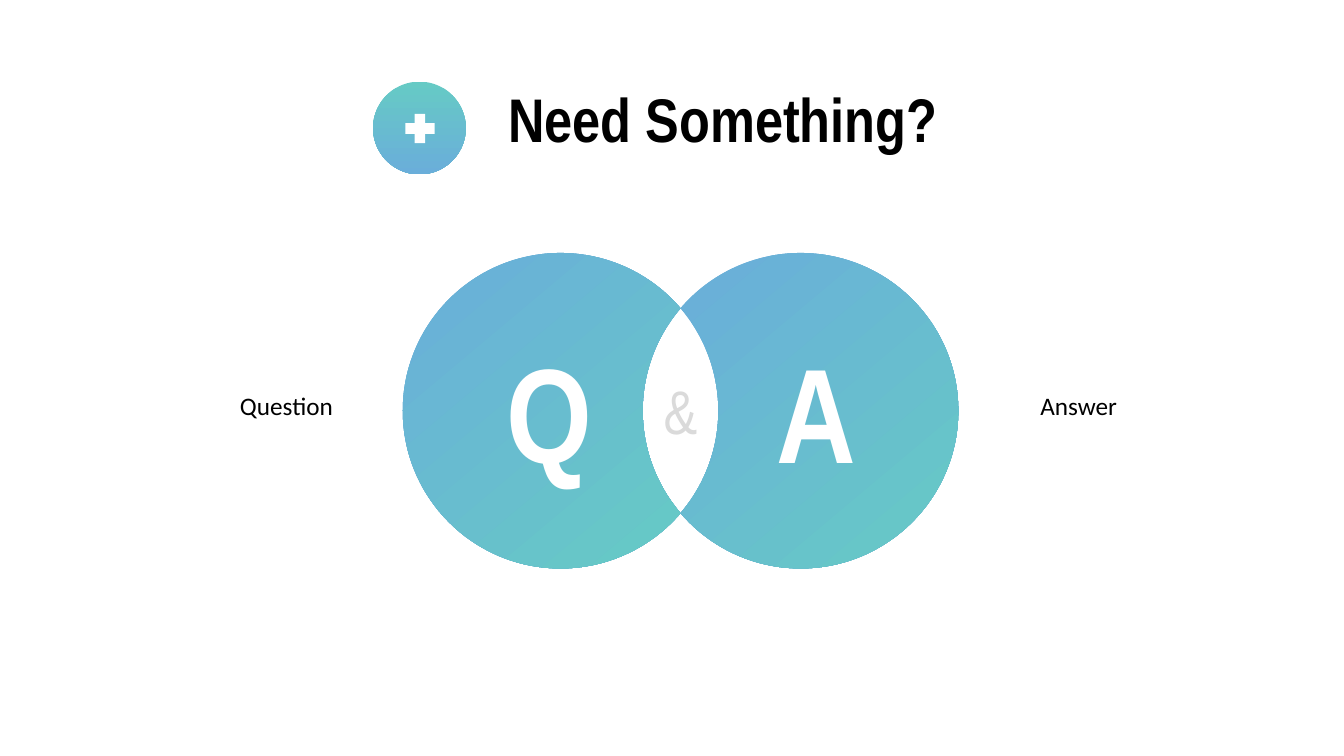
import itertools
import math

import pptx
import pptx.util
from lxml import etree
from pptx.dml.color import RGBColor
from pptx.enum.shapes import MSO_SHAPE
from pptx.enum.text import MSO_ANCHOR, MSO_AUTO_SIZE, PP_ALIGN
from pptx.oxml.ns import qn
from pptx.util import Inches

COLORS = {
    "blue": "6AAEDA",
    "teal": "66CAC5",
    "white": "FFFFFF",
    "gray": "DADADA",
    "black": "000000",
}
HEADING_FONT = "Arial Narrow"
LABEL_FONT = "Calibri"

# Two overlapping circles, in inches
RADIUS = 1.565
CENTER_Y = 4.075
MIDDLE_X = 6.75
HALF_GAP = 1.19


def rgb(name):
    return RGBColor.from_string(COLORS[name])


def style_text(frame, text, size, color, font=HEADING_FONT, bold=False,
               align=PP_ALIGN.LEFT):
    """Write one formatted paragraph into a text frame."""
    paragraph = frame.paragraphs[0]
    paragraph.text = text
    paragraph.alignment = align
    run_font = paragraph.runs[0].font
    formats = {"name": font, "size": pptx.util.Pt(size), "bold": bold}
    for attribute, value in formats.items():
        setattr(run_font, attribute, value)
    run_font.color.rgb = rgb(color)


def add_label(slide, box, text, size, color, **formats):
    frame = slide.shapes.add_textbox(*map(Inches, box)).text_frame
    frame.word_wrap = True
    frame.auto_size = MSO_AUTO_SIZE.SHAPE_TO_FIT_TEXT
    style_text(frame, text, size, color, **formats)


def clear_outline(shape):
    shape.shadow.inherit = False
    shape.line.fill.background()


def fill_gradient(shape, start, end, clockwise):
    clear_outline(shape)
    shape.fill.gradient()
    shape.fill.gradient_angle = 360 - clockwise
    for stop, color in zip(shape.fill.gradient_stops, (start, end)):
        stop.color.rgb = rgb(color)


def circle_point(center_x, angle, tangent=0):
    """A point at an angle, moved along the tangent by a share of the radius."""
    x = math.cos(angle) - tangent * math.sin(angle)
    y = math.sin(angle) + tangent * math.cos(angle)
    return Inches(center_x + RADIUS * x), Inches(CENTER_Y + RADIUS * y)


def arc_curves(center_x, degrees):
    """Two control points and an end point for each arc between the angles."""
    points = []
    for start, end in itertools.pairwise(map(math.radians, degrees)):
        reach = 4 / 3 * math.tan((end - start) / 4)
        points += [circle_point(center_x, start, reach),
                   circle_point(center_x, end, -reach),
                   circle_point(center_x, end)]
    return points


def bend_segments(shape):
    """Turn every three line segments into one cubic curve."""
    lines = list(shape._element.iter(qn("a:lnTo")))
    for first, second, third in zip(lines[::3], lines[1::3], lines[2::3]):
        curve = etree.Element(qn("a:cubicBezTo"))
        first.addprevious(curve)
        for line in (first, second, third):
            curve.append(line[0])
            line.getparent().remove(line)


def add_crescent(slide, side):
    """A circle less its overlap with the other; side is -1 left, 1 right."""
    half = math.degrees(math.acos(HALF_GAP / RADIUS))
    facing = 0 if side < 0 else 180
    center_x = MIDDLE_X + side * HALF_GAP
    outer = [facing + a for a in (half, 90, 180, 270, 360 - half)]
    inner = [facing + 180 + a for a in (half, 0, -half)]
    points = (arc_curves(center_x, outer)
              + arc_curves(MIDDLE_X - side * HALF_GAP, inner))
    tip = circle_point(center_x, math.radians(outer[0]))
    builder = slide.shapes.build_freeform(*tip)
    builder.add_line_segments(points, close=True)
    crescent = builder.convert_to_shape()
    bend_segments(crescent)
    fill_gradient(crescent, "blue", "teal", 50)


def add_plus_icon(slide):
    icon = slide.shapes.add_group_shape()
    disc = icon.shapes.add_shape(
        MSO_SHAPE.OVAL, *map(Inches, (3.7, 0.81, 0.92, 0.92)))
    fill_gradient(disc, "teal", "blue", 90)
    plus = icon.shapes.add_shape(
        MSO_SHAPE.CROSS, *map(Inches, (4.02, 1.13, 0.29, 0.29)))
    plus.adjustments[0] = 0.32
    clear_outline(plus)
    plus.fill.solid()
    plus.fill.fore_color.rgb = rgb("white")


def set_title(slide, text):
    title = slide.shapes.title
    place = {"left": 4.94, "top": 0.75, "width": 5.09, "height": 0.84}
    for attribute, value in place.items():
        setattr(title, attribute, Inches(value))
    formats = {"vertical_anchor": MSO_ANCHOR.MIDDLE, "word_wrap": True,
               "auto_size": MSO_AUTO_SIZE.NONE}
    for attribute, value in formats.items():
        setattr(title.text_frame, attribute, value)
    style_text(title.text_frame, text, 44, "black", bold=True)


def main():
    deck = pptx.Presentation()
    deck.slide_width, deck.slide_height = Inches(13.33), Inches(7.5)
    slide = deck.slides.add_slide(deck.slide_layouts[5])

    # Heading
    set_title(slide, "Need Something?")

    # Overlapping circles
    for side in (-1, 1):
        add_crescent(slide, side)

    # Letters in the circles
    for left, letter in ((4.75, "Q"), (7.4, "A")):
        add_label(slide, (left, 3.22, 1.4, 1.72), letter, 96, "white",
                  bold=True, align=PP_ALIGN.CENTER)
    add_label(slide, (6.05, 3.65, 1.4, 0.84), "&", 44, "gray",
              align=PP_ALIGN.CENTER)

    # Side labels
    add_label(slide, (2.06, 3.82, 1.34, 0.4), "Question", 18, "black",
              font=LABEL_FONT, align=PP_ALIGN.RIGHT)
    add_label(slide, (10.22, 3.82, 1.22, 0.4), "Answer", 18, "black",
              font=LABEL_FONT)

    # Icon beside the heading
    add_plus_icon(slide)

    deck.save("out.pptx")


if __name__ == "__main__":
    main()
